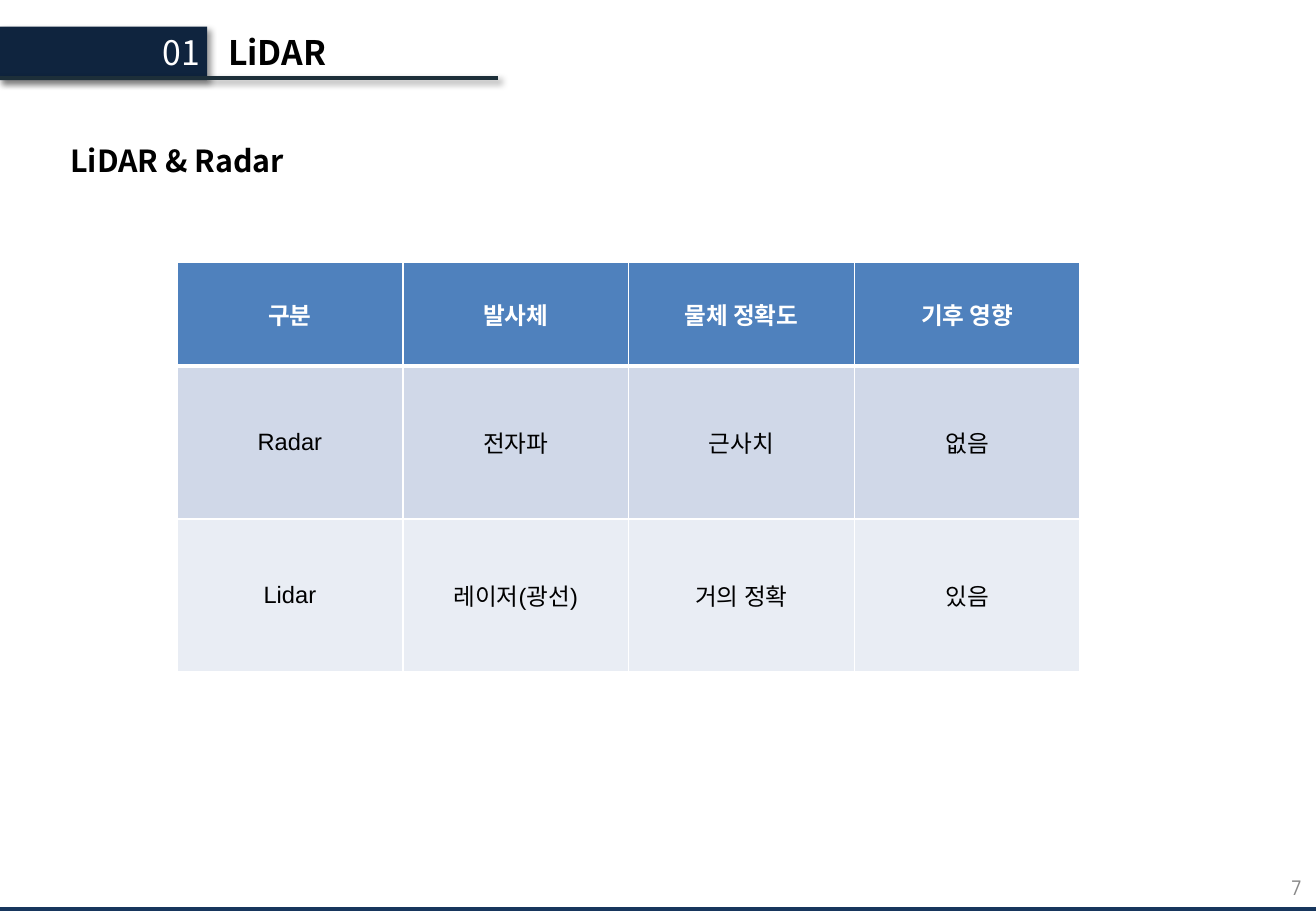
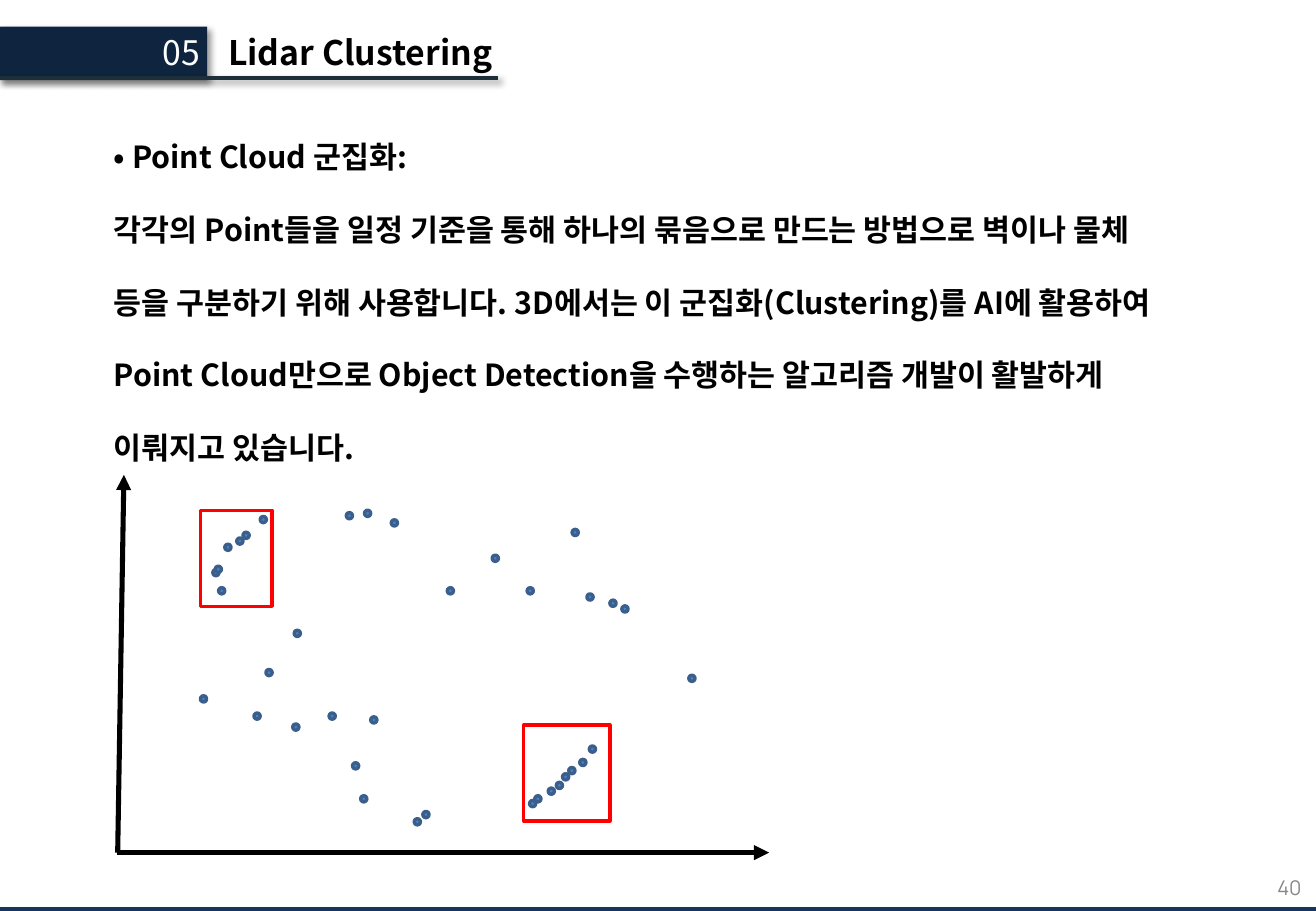
from pptx import Presentation
from pptx.dml.color import RGBColor
from pptx.enum.shapes import MSO_CONNECTOR as CONN, MSO_SHAPE as SHAPE
from pptx.enum.text import MSO_ANCHOR as ANCHOR, PP_ALIGN as ALIGN
from pptx.oxml import parse_xml
from pptx.oxml.ns import nsdecls
from pptx.util import Cm, Pt

# Shared look
SANS, NUMBER_FONT, TABLE_FONT = "Noto Sans CJK KR", "Manrope", "Arial"
NAVY, FOOTER, RULE = "0F243E", "17365D", "1D2F39"
BLACK, WHITE, GREY, RED = "000000", "FFFFFF", "888888", "FF0000"
BLUE, DOT_EDGE = "4F81BD", "3A5F8C"
ROW_FILLS = [BLUE, "D0D8E8", "E9EDF4"]
WIDTH, HEIGHT = 27.51, 19.05
HEADER_PITCH, SUBTITLE_PITCH, BODY_PITCH = 23.7, 32.5, 43.1

# Slide 1 content
SUBTITLE = "LiDAR & Radar"
SENSORS = [
    ["구분", "발사체", "물체 정확도", "기후 영향"],
    ["Radar", "전자파", "근사치", "없음"],
    ["Lidar", "레이저(광선)", "거의 정확", "있음"],
]
TABLE_AT = (3.7, 5.49)
COL_WIDTH, ROW_HEIGHTS = 4.72, [2.16, 3.2, 3.2]

# Slide 2 content; lengths in cm
CLUSTERING = [
    "• Point Cloud 군집화:",
    "각각의 Point들을 일정 기준을 통해 하나의 묶음으로 만드는 방법으로 벽이나 물체",
    "등을 구분하기 위해 사용합니다. 3D에서는 이 군집화(Clustering)를 AI에 활용하여 "
    "Point Cloud만으로 Object Detection을 수행하는 알고리즘 개발이 활발하게 "
    "이뤄지고 있습니다.",
]
DOT_SIZE = 0.13
DOTS = [
    (5.44, 10.8), (5.08, 11.13), (4.95, 11.25), (4.7, 11.38), (4.57, 12.29),
    (4.45, 11.91), (4.5, 11.84), (7.24, 10.72), (7.62, 10.67), (8.18, 10.87),
    (9.35, 12.29), (10.29, 11.61), (11.02, 12.29), (11.96, 11.07),
    (12.27, 12.42), (12.75, 12.55), (13, 12.67), (14.4, 14.12),
    (12.32, 15.6), (12.12, 15.88), (11.89, 16.05), (11.76, 16.18),
    (11.63, 16.36), (11.46, 16.48), (11.18, 16.64), (11.07, 16.74),
    (8.84, 16.97), (8.66, 17.12), (7.54, 16.64), (7.37, 15.95),
    (7.75, 14.99), (6.88, 14.91), (6.12, 15.14), (5.31, 14.91),
    (4.19, 14.55), (5.56, 14), (6.15, 13.18),
]
CLUSTERS = [(4.19, 10.67, 1.5, 2.01), (10.95, 15.16, 1.8, 2.01)]
AXES = [(2.46, 17.83, 2.59, 9.93), (2.44, 17.83, 16.08, 17.83)]


def rgb(color):
    return RGBColor.from_string(color)


def add_effects(sp, shadow):
    """Give a shape or connector the shared shadow, or none."""
    inner = (f'<a:outerShdw blurRad="{Pt(4)}" dist="{Pt(3)}" dir="2700000" algn="tl" '
             'rotWithShape="0"><a:srgbClr val="000000"><a:alpha val="40000"/>'
             '</a:srgbClr></a:outerShdw>') if shadow else ""
    sp._element.spPr.append(parse_xml(
        f'<a:effectLst {nsdecls("a")}>{inner}</a:effectLst>'))


def add_box(s, kind, at, fill=None, line=None, shadow=False):
    sp = s.shapes.add_shape(kind, *map(Cm, at))
    if fill:
        sp.fill.solid()
        sp.fill.fore_color.rgb = rgb(fill)
    else:
        sp.fill.background()
    if line:
        sp.line.color.rgb = rgb(line)
        sp.line.width = Pt(2)
    else:
        sp.line.fill.background()
    add_effects(sp, shadow)


def add_line(s, ends, color, width, shadow=False, arrow=False):
    line = s.shapes.add_connector(CONN.STRAIGHT, *map(Cm, ends))
    line.line.color.rgb = rgb(color)
    line.line.width = Pt(width)
    if arrow:
        line.line._get_or_add_ln().append(parse_xml(
            f'<a:tailEnd {nsdecls("a")} type="triangle"/>'))
    add_effects(line, shadow)


def write(p, text, size, font, color, bold=False, align=ALIGN.LEFT):
    p.alignment = align
    r = p.add_run()
    r.text = text
    r.font.size, r.font.name, r.font.bold = Pt(size), font, bold
    r.font.color.rgb = rgb(color)


def add_text(s, at, paragraphs, size, color=BLACK, font=SANS, bold=False,
             align=ALIGN.LEFT, anchor=ANCHOR.TOP, spacing=None):
    tf = s.shapes.add_textbox(*map(Cm, at)).text_frame
    tf.word_wrap = True
    tf.vertical_anchor = anchor
    for i, text in enumerate(paragraphs):
        p = tf.add_paragraph() if i else tf.paragraphs[0]
        if spacing:
            p.line_spacing = Pt(spacing)
        write(p, text, size, font, color, bold, align)


def new_slide(prs, section, title, page):
    """Blank slide with the shared header, footer band and page number."""
    s = prs.slides.add_slide(prs.slide_layouts[6])
    add_box(s, SHAPE.RECTANGLE, (-0.25, 18.97, 28.02, 0.23), FOOTER)
    add_text(s, (21.03, 18.05, 6.43, 1.02), [page], 12, GREY, NUMBER_FONT,
             align=ALIGN.RIGHT, anchor=ANCHOR.MIDDLE)
    add_box(s, SHAPE.RECTANGLE, (-0.03, 0.56, 4.36, 1.12), NAVY, shadow=True)
    add_text(s, (3, 0.56, 1.44, 1.12), [section], 20, WHITE,
             align=ALIGN.RIGHT, spacing=HEADER_PITCH)
    add_line(s, (-0.03, 1.63, 10.41, 1.63), RULE, 2.25, shadow=True)
    add_text(s, (4.52, 0.56, 8.61, 1.12), [title], 20, bold=True,
             spacing=HEADER_PITCH)
    return s


def set_borders(cell, bottom):
    tc_pr = cell._tc.get_or_add_tcPr()
    for side, width in (("L", 1), ("R", 1), ("T", 1), ("B", bottom)):
        tc_pr.append(parse_xml(
            f'<a:ln{side} {nsdecls("a")} w="{Pt(width)}"><a:solidFill>'
            f'<a:srgbClr val="{WHITE}"/></a:solidFill></a:ln{side}>'))


def add_sensor_table(s):
    size = (COL_WIDTH * len(SENSORS[0]), sum(ROW_HEIGHTS))
    table = s.shapes.add_table(len(SENSORS), len(SENSORS[0]),
                               *map(Cm, TABLE_AT + size)).table
    for col in table.columns:
        col.width = Cm(COL_WIDTH)
    for i, texts in enumerate(SENSORS):
        table.rows[i].height = Cm(ROW_HEIGHTS[i])
        header = i == 0
        for j, text in enumerate(texts):
            cell = table.cell(i, j)
            set_borders(cell, 3 if header else 1)
            cell.fill.solid()
            cell.fill.fore_color.rgb = rgb(ROW_FILLS[i])
            cell.vertical_anchor = ANCHOR.MIDDLE
            write(cell.text_frame.paragraphs[0], text, 14, TABLE_FONT,
                  WHITE if header else BLACK, header, ALIGN.CENTER)


def main():
    prs = Presentation()
    prs.slide_width, prs.slide_height = Cm(WIDTH), Cm(HEIGHT)

    # Sensor comparison
    s = new_slide(prs, "01.", "LiDAR", "7")
    add_text(s, (1.22, 2.46, 24.54, 1.27), [SUBTITLE], 18, bold=True,
             spacing=SUBTITLE_PITCH)
    add_sensor_table(s)

    # Clustering text and point cloud
    s = new_slide(prs, "05.", "Lidar Clustering", "40")
    add_text(s, (2.13, 2.01, 23.65, 7.9), CLUSTERING, 18, bold=True,
             spacing=BODY_PITCH)
    for x, y in DOTS:
        add_box(s, SHAPE.OVAL, (x, y, DOT_SIZE, DOT_SIZE), BLUE, DOT_EDGE)
    for at in CLUSTERS:
        add_box(s, SHAPE.RECTANGLE, at, line=RED)
    for ends in AXES:
        add_line(s, ends, BLACK, 3, arrow=True)

    prs.save("out.pptx")


if __name__ == "__main__":
    main()
